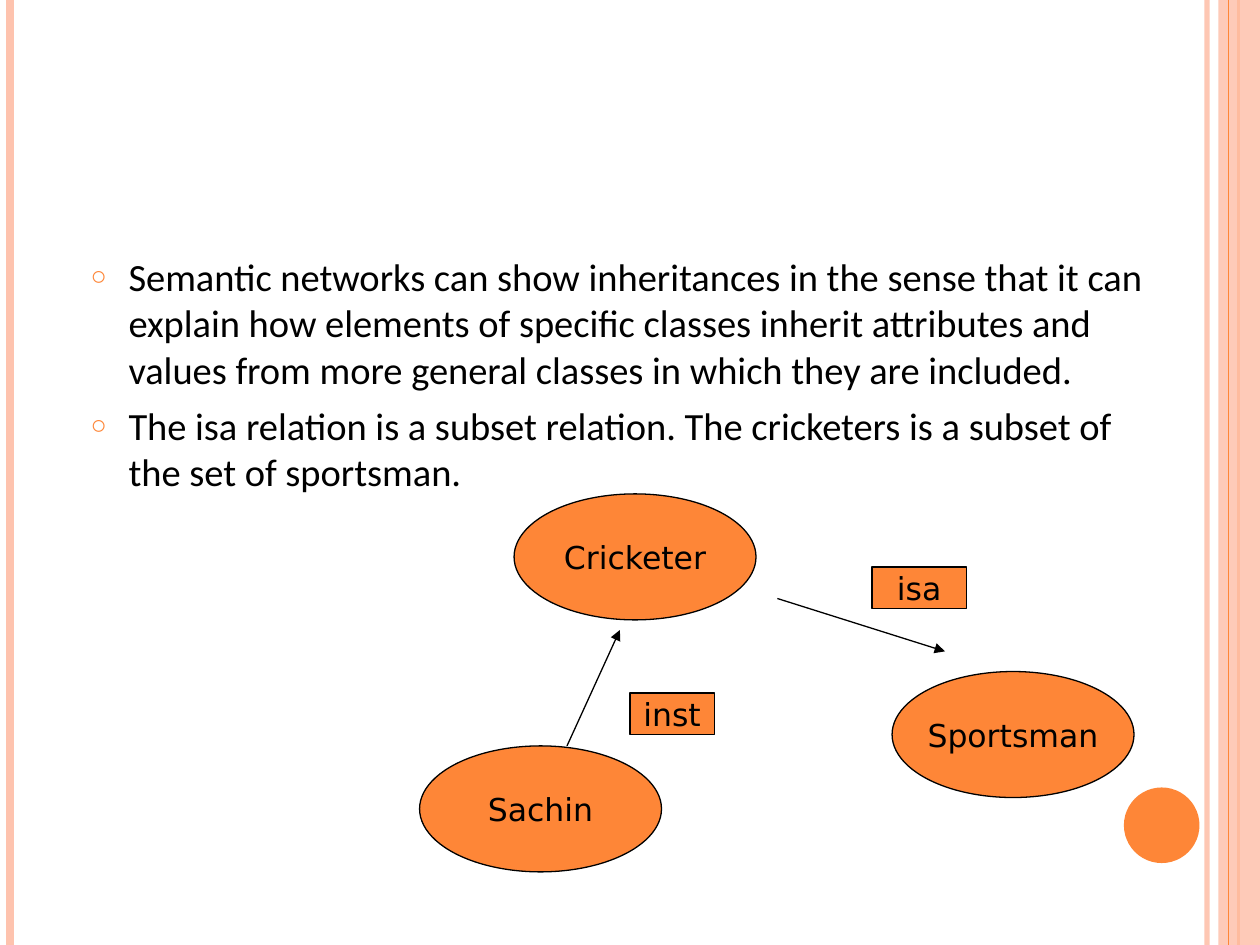
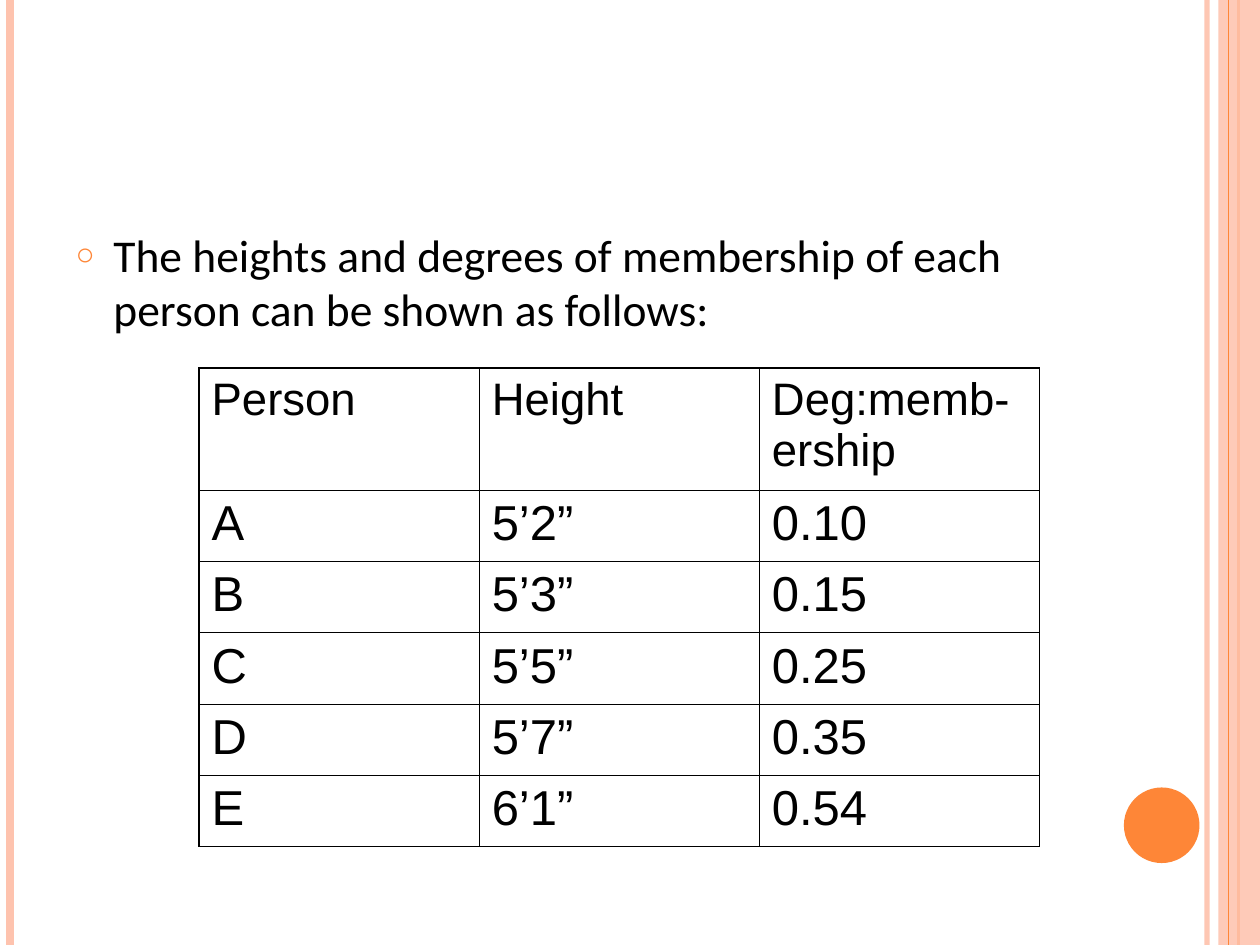
from dataclasses import dataclass

from pptx import Presentation
from pptx.dml.color import RGBColor
from pptx.enum.shapes import MSO_CONNECTOR, MSO_SHAPE
from pptx.enum.text import MSO_ANCHOR, MSO_AUTO_SIZE, PP_ALIGN
from pptx.oxml.ns import qn
from pptx.util import Inches, Pt
from lxml.etree import SubElement


@dataclass(frozen=True)
class Theme:
    accent: str = "FE8637"
    pale: str = "FEC3AE"
    ink: str = "000000"
    paper: str = "FFFFFF"
    body_font: str = "Calibri"
    node_font: str = "DejaVu Sans"
    table_font: str = "Arial"
    small_body: float = 22
    large_body: float = 26
    node_size: float = 18
    header_size: float = 26
    cell_size: float = 28
    thin: float = 0.75
    outer_border: float = 1.08
    inner_border: float = 0.45


@dataclass(frozen=True)
class Box:
    left: float
    top: float
    width: float
    height: float

    def inside(self, x, y, width, height):
        return Box(self.left + x, self.top + y, width, height)

    def lengths(self):
        return [Inches(n) for n in (self.left, self.top, self.width, self.height)]


THEME = Theme()
PAGE = Box(0, 0, 10, 7.5)


def color(value):
    return RGBColor.from_string(value)


def set_alpha(properties, percent):
    """Make the solid colour inside these properties partly transparent."""
    rgb = next(properties.iter(qn("a:srgbClr")))
    SubElement(rgb, qn("a:alpha"), val=str(percent * 1000))


def add_run(paragraph, text, font, size):
    run = paragraph.add_run()
    run.text = text
    run.font.name = font
    run.font.size = Pt(size)
    run.font.color.rgb = color(THEME.ink)


def add_line(slide, box, start, end, line_color, width, arrow=False):
    """Draw a line between two points measured from the box corner."""
    (x1, y1), (x2, y2) = start, end
    connector = slide.shapes.add_connector(
        MSO_CONNECTOR.STRAIGHT,
        Inches(box.left + x1), Inches(box.top + y1),
        Inches(box.left + x2), Inches(box.top + y2))
    connector.line.color.rgb = color(line_color)
    connector.line.width = Pt(width)
    if arrow:
        SubElement(connector.line._get_or_add_ln(), qn("a:tailEnd"), type="triangle")
    SubElement(connector._element.spPr, qn("a:effectLst"))
    return connector


def add_filled(slide, kind, box, fill, outline=None):
    shape = slide.shapes.add_shape(kind, *box.lengths())
    shape.shadow.inherit = False
    shape.fill.solid()
    shape.fill.fore_color.rgb = color(fill)
    if outline:
        shape.line.color.rgb = color(outline)
        shape.line.width = Pt(THEME.thin)
    else:
        shape.line.fill.background()
    return shape


def add_frame(slide, box):
    """Side rules, right band and page disc shared by all slides."""
    def rule(x, line_color, width):
        return add_line(slide, box, (x, 0), (x, box.height), line_color, width)

    set_alpha(rule(9.58, THEME.pale, 3)._element.spPr, 93)
    rule(0.08, THEME.pale, 4.5)
    rule(9.83, THEME.accent, 1.5)
    band = add_filled(slide, MSO_SHAPE.RECTANGLE,
                      box.inside(9.67, 0, 0.33, box.height), THEME.pale)
    set_alpha(band._element.spPr, 87)
    rule(9.75, THEME.accent, THEME.thin)
    add_filled(slide, MSO_SHAPE.OVAL, box.inside(8.92, 6.25, 0.6, 0.6), THEME.accent)


def add_bullets(slide, box, texts, size):
    """Fill the body placeholder with ring bullets."""
    body = slide.placeholders[1]
    body.left, body.top, body.width, body.height = box.lengths()
    frame = body.text_frame
    frame.word_wrap = True
    frame.auto_size = MSO_AUTO_SIZE.NONE
    frame.vertical_anchor = MSO_ANCHOR.TOP
    for index, text in enumerate(texts):
        paragraph = frame.add_paragraph() if index else frame.paragraphs[0]
        properties = paragraph._p.get_or_add_pPr()
        properties.set("marL", str(Inches(0.3)))
        properties.set("indent", str(Inches(-0.3)))
        bullet_color = SubElement(properties, qn("a:buClr"))
        SubElement(bullet_color, qn("a:srgbClr"), val=THEME.accent)
        SubElement(properties, qn("a:buSzPct"), val="70000")
        SubElement(properties, qn("a:buChar"), char="○")
        paragraph.space_before = Pt(6 if index else 0)
        add_run(paragraph, text, THEME.body_font, size)


def add_node(slide, kind, box, text):
    shape = add_filled(slide, kind, box, THEME.accent, THEME.ink)
    frame = shape.text_frame
    frame.word_wrap = False
    frame.vertical_anchor = MSO_ANCHOR.MIDDLE
    paragraph = frame.paragraphs[0]
    paragraph.alignment = PP_ALIGN.CENTER
    add_run(paragraph, text, THEME.node_font, THEME.node_size)


def add_network(slide, box):
    """Concept ellipses, relation labels and arrows."""
    for text, x, y in (("Cricketer", 0.75, 0), ("Sachin", 0, 2), ("Sportsman", 3.75, 1.41)):
        add_node(slide, MSO_SHAPE.OVAL, box.inside(x, y, 1.92, 1), text)
    for text, x, y, width in (("inst", 1.67, 1.58, 0.67), ("isa", 3.59, 0.58, 0.75)):
        add_node(slide, MSO_SHAPE.RECTANGLE, box.inside(x, y, width, 0.33), text)
    for start, end in (((1.17, 2), (1.59, 1.08)), ((2.84, 0.83), (4.17, 1.25))):
        add_line(slide, box, start, end, THEME.ink, THEME.thin, arrow=True)


def set_borders(cell, outer_sides):
    """Use the heavier line on sides that lie on the table's edge."""
    properties = cell._tc.get_or_add_tcPr()
    for side in "LRTB":
        width = THEME.outer_border if side in outer_sides else THEME.inner_border
        border = SubElement(properties, qn(f"a:ln{side}"), w=str(Pt(width)))
        fill = SubElement(border, qn("a:solidFill"))
        SubElement(fill, qn("a:srgbClr"), val=THEME.ink)


def add_grid(slide, box, rows, header_height):
    """Plain ruled table with a taller header row."""
    last_row, last_column = len(rows) - 1, len(rows[0]) - 1
    table = slide.shapes.add_table(len(rows), len(rows[0]), *box.lengths()).table
    table.first_row = False
    table.horz_banding = False
    for column in table.columns:
        column.width = Inches(box.width / len(rows[0]))
    for r, texts in enumerate(rows):
        table.rows[r].height = Inches(
            (box.height - header_height) / last_row if r else header_height)
        for c, text in enumerate(texts):
            cell = table.cell(r, c)
            edges = {"L": c == 0, "R": c == last_column, "T": r == 0, "B": r == last_row}
            set_borders(cell, [side for side, is_outer in edges.items() if is_outer])
            cell.fill.background()
            add_run(cell.text_frame.paragraphs[0], text, THEME.table_font,
                    THEME.cell_size if r else THEME.header_size)


def new_slide(presentation):
    """Slide without a title, carrying the shared frame."""
    slide = presentation.slides.add_slide(presentation.slide_layouts[1])
    slide.background.fill.solid()
    slide.background.fill.fore_color.rgb = color(THEME.paper)
    title = slide.shapes.title._element
    title.getparent().remove(title)
    add_frame(slide, PAGE)
    return slide


def build_inheritance_slide(presentation):
    slide = new_slide(presentation)
    add_bullets(slide, Box(0.62, 1.96, 8.75, 4.96), (
        "Semantic networks can show inheritances in the sense that it can explain how "
        "elements of specific classes inherit attributes and values from more general "
        "classes in which they are included.",
        "The isa relation is a subset relation. The cricketers is a subset of the set "
        "of sportsman.",
    ), THEME.small_body)
    add_network(slide, Box(3.33, 3.92, 5.67, 3))


def build_membership_slide(presentation):
    slide = new_slide(presentation)
    add_bullets(slide, Box(0.5, 1.75, 8.17, 5.33), (
        "The heights and degrees of membership of each person can be shown as follows:",
    ), THEME.large_body)
    add_grid(slide, Box(1.58, 2.92, 6.67, 3.8), (
        ("Person", "Height", "Deg:memb-ership"),
        ("A", "5’2”", "0.10"),
        ("B", "5’3”", "0.15"),
        ("C", "5’5”", "0.25"),
        ("D", "5’7”", "0.35"),
        ("E", "6’1”", "0.54"),
    ), header_height=0.97)


def main():
    presentation = Presentation()
    presentation.slide_width = Inches(PAGE.width)
    presentation.slide_height = Inches(PAGE.height)
    build_inheritance_slide(presentation)
    build_membership_slide(presentation)
    presentation.save("out.pptx")


if __name__ == "__main__":
    main()
